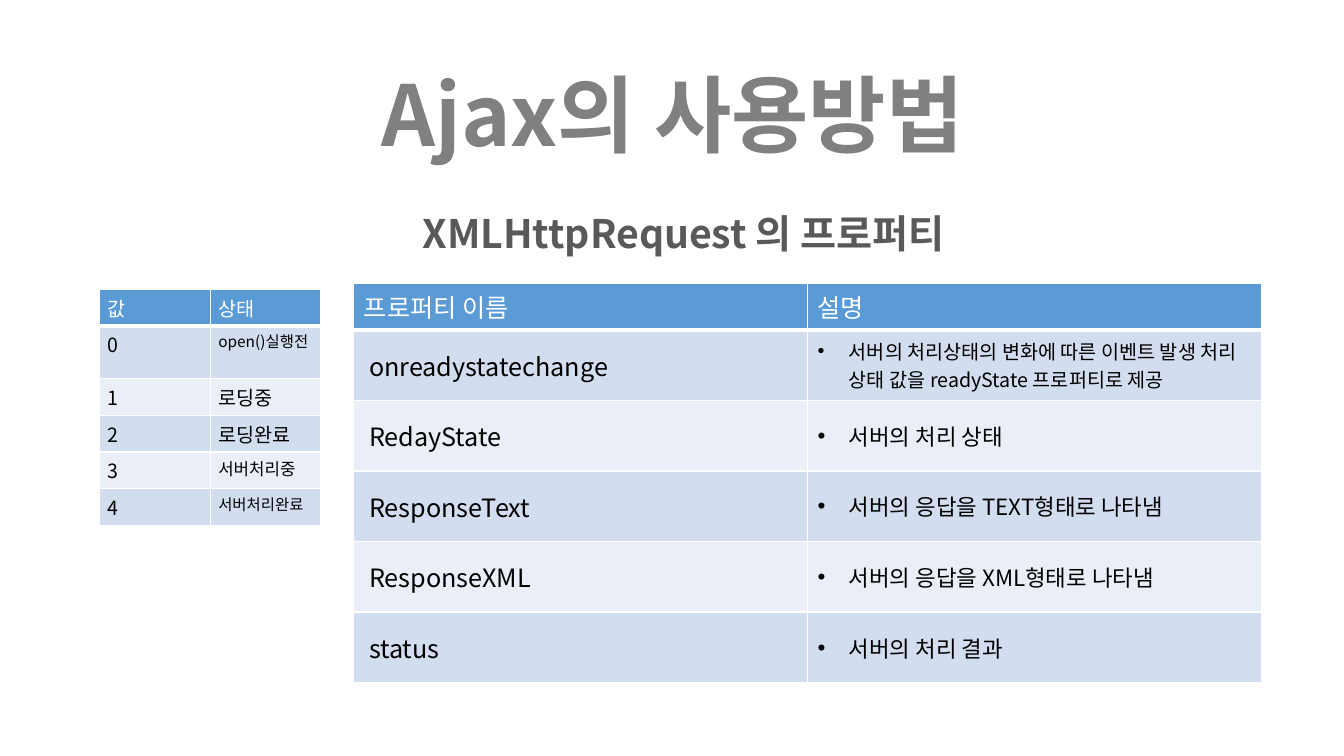
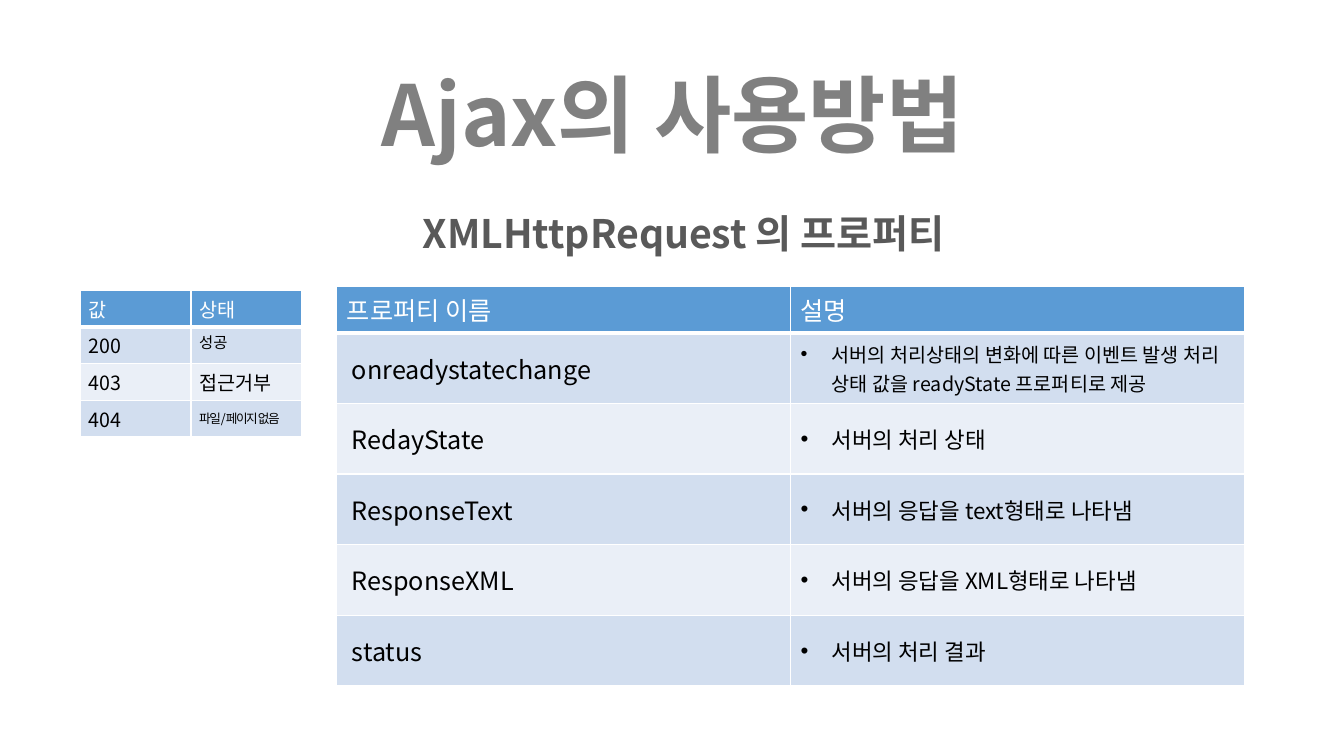
from lxml import etree
from pptx import Presentation
from pptx.dml import color as c
from pptx.enum import text as t
from pptx.oxml import ns
from pptx.util import Inches, Pt

FONT = "Noto Sans CJK KR"
WHITE, BLACK = "FFFFFF", "000000"
TITLE_GREY, SUBTITLE_GREY = "808080", "595959"
HEADER_BLUE = "5B9BD5"
BANDS = ["D2DEEF", "EAEFF7"]
TOP, MIDDLE = t.MSO_ANCHOR.TOP, t.MSO_ANCHOR.MIDDLE


def rgb(value):
    return c.RGBColor.from_string(value)


def style(para, size, color, bold=False):
    font = para.font
    font.size, font.bold, font.name = Pt(size), bold, FONT
    font.color.rgb = rgb(color)
    properties = para._p.pPr.find(ns.qn("a:defRPr"))
    etree.SubElement(properties, ns.qn("a:ea"), typeface=FONT)


def centred_line(shape, box, words, size, color, wrap):
    shape.left, shape.top, shape.width, shape.height = map(Inches, box)
    frame = shape.text_frame
    frame.auto_size = t.MSO_AUTO_SIZE.NONE
    frame.word_wrap = wrap
    frame.vertical_anchor = MIDDLE
    para = frame.paragraphs[0]
    para.text = words
    para.alignment = t.PP_ALIGN.CENTER
    para.line_spacing = 1.0
    style(para, size, color, bold=True)


def add_bullet(para):
    properties = para._p.get_or_add_pPr()
    properties.set("marL", str(Inches(0.31)))
    properties.set("indent", str(-Inches(0.31)))
    bullet = etree.Element(ns.qn("a:buChar"), char="•")
    font = etree.Element(ns.qn("a:buFont"), typeface="Arial")
    properties.insert(0, bullet)
    properties.insert(0, font)


def add_borders(cell, bottom):
    properties = cell._tc.get_or_add_tcPr()
    widths = {"a:lnL": 1, "a:lnR": 1, "a:lnT": 1, "a:lnB": bottom}
    for index, (tag, width) in enumerate(widths.items()):
        line = etree.Element(ns.qn(tag), w=str(Pt(width)))
        fill = etree.SubElement(line, ns.qn("a:solidFill"))
        etree.SubElement(fill, ns.qn("a:srgbClr"), val=WHITE)
        properties.insert(index, line)


def fill_cell(cell, words, size, row, anchor):
    header = row == 0
    cell.fill.solid()
    cell.fill.fore_color.rgb = rgb(HEADER_BLUE if header else BANDS[(row - 1) % 2])
    cell.vertical_anchor = anchor
    para = cell.text_frame.paragraphs[0]
    para.text = words
    style(para, size, WHITE if header else BLACK)
    add_borders(cell, 3 if header else 1)
    return para


def add_grid(page, box, rows, heights):
    table = page.shapes.add_table(rows, 2, *map(Inches, box)).table
    for row, height in zip(table.rows, heights):
        row.height = Inches(height)
    return table


def property_table(page, left, top, header_height, text_word):
    properties = [
        ("프로퍼티 이름", "설명", 18),
        ("onreadystatechange", "서버의 처리상태의 변화에 따른 이벤트 발생 처리 상태 값을 readyState 프로퍼티로 제공", 14),
        ("RedayState", "서버의 처리 상태", 16),
        ("ResponseText", f"서버의 응답을 {text_word}형태로 나타냄", 16),
        ("ResponseXML", "서버의 응답을 XML형태로 나타냄", 16),
        ("status", "서버의 처리 결과", 16),
    ]
    heights = [header_height] + [0.7] * 5
    table = add_grid(page, (left, top, 9, 3.9), len(properties), heights)
    for row, (name, description, size) in enumerate(properties):
        anchor = MIDDLE if row else TOP
        fill_cell(table.cell(row, 0), name, 18, row, anchor)
        para = fill_cell(table.cell(row, 1), description, size, row, anchor)
        if row:
            table.cell(row, 0).margin_left = Inches(0.15)
            add_bullet(para)


def state_table(page, left, top, row_height, states):
    entries = [("값", "상태", 14)] + states
    count = len(entries)
    box = (left, top, 2.19, row_height * count)
    table = add_grid(page, box, count, [row_height] * count)
    for row, (value, state, size) in enumerate(entries):
        tight = size < 10
        fill_cell(table.cell(row, 0), value, 14, row, TOP)
        para = fill_cell(table.cell(row, 1), state, size, row, MIDDLE if tight else TOP)
        if tight:
            para.runs[0].font._element.set("spc", "-100")
        for cell in table.rows[row].cells:
            cell.margin_left = cell.margin_right = Inches(0.08)
            cell.margin_top = cell.margin_bottom = Inches(0.04)


def property_slide(deck):
    page = deck.slides.add_slide(deck.slide_layouts[5])
    centred_line(page.shapes.title, (3.47, 0.57, 6.4, 1.11), "Ajax의 사용방법", 60, TITLE_GREY, False)
    box = (1.24, 2.03, 11.08, 0.57)
    subtitle = page.shapes.add_textbox(*map(Inches, box))
    centred_line(subtitle, box, "XMLHttpRequest 의 프로퍼티", 28, SUBTITLE_GREY, True)
    return page


def main():
    deck = Presentation()
    deck.slide_width, deck.slide_height = Inches(13.33), Inches(7.5)

    ready_page = property_slide(deck)
    property_table(ready_page, 3.51, 2.81, 0.39, "TEXT")
    state_table(ready_page, 0.99, 2.87, 0.33, [
        ("0", "open()실행전", 11),
        ("1", "로딩중", 14),
        ("2", "로딩완료", 14),
        ("3", "서버처리중", 12),
        ("4", "서버처리완료", 11),
    ])

    status_page = property_slide(deck)
    property_table(status_page, 3.34, 2.84, 0.39, "text")
    state_table(status_page, 0.8, 2.88, 0.31, [
        ("200", "성공", 11),
        ("403", "접근거부", 14),
        ("404", "파일/페이지 없음", 9),
    ])

    deck.save("out.pptx")


if __name__ == "__main__":
    main()
